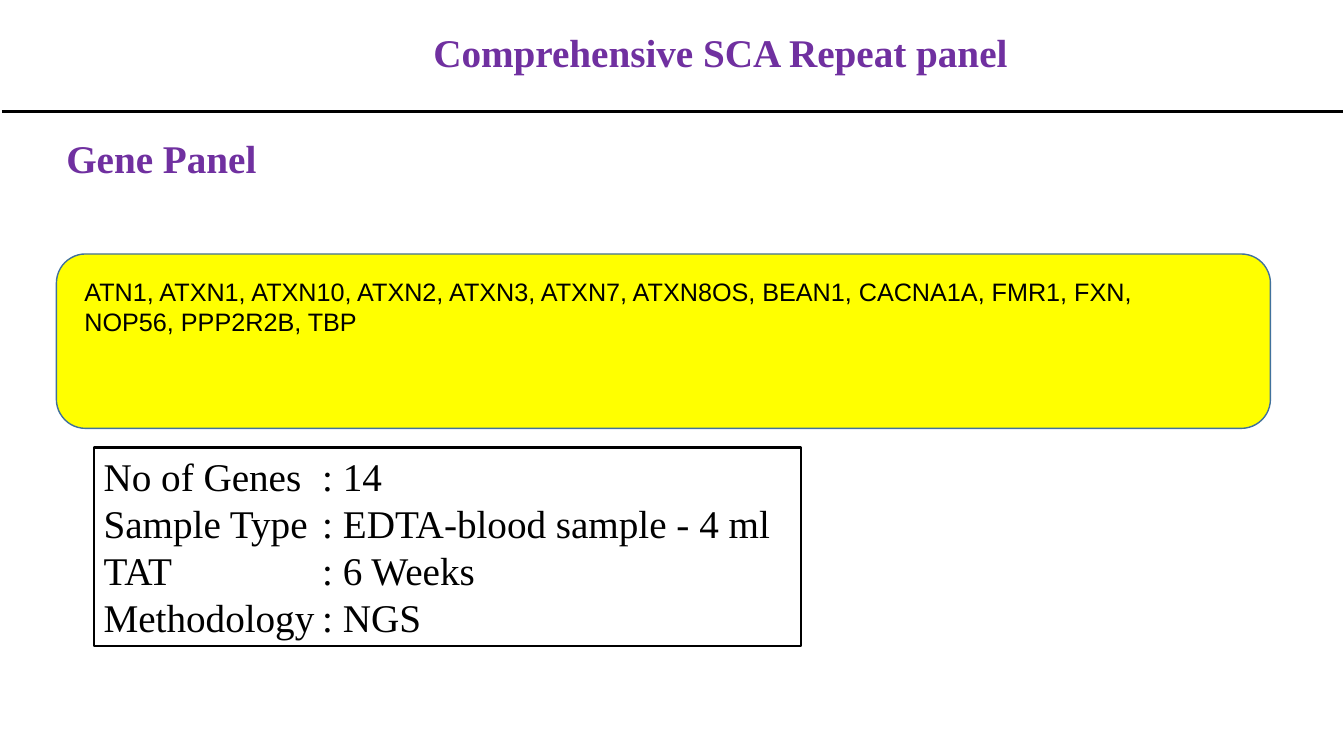
from lxml import etree
from pptx import Presentation
from pptx.dml.color import RGBColor
from pptx.enum.shapes import MSO_CONNECTOR, MSO_SHAPE
from pptx.enum.text import MSO_ANCHOR, PP_ALIGN
from pptx.oxml.ns import qn
from pptx.util import Inches, Pt

COLORS = {"heading": "7030A0", "text": "000000", "line": "000000",
          "panel": "FFFF00", "panel_edge": "41719C"}
SERIF, SANS = "Times New Roman", "Arial"
GENES = ("ATN1, ATXN1, ATXN10, ATXN2, ATXN3, ATXN7, ATXN8OS, BEAN1, "
         "CACNA1A, FMR1, FXN, NOP56, PPP2R2B, TBP")
DETAILS = [("No of Genes", "14"), ("Sample Type", "EDTA-blood sample - 4 ml"),
           ("TAT", "6 Weeks"), ("Methodology", "NGS")]


def color(name):
    return RGBColor.from_string(COLORS[name])


def place(shape, left, top, width, height):
    shape.left, shape.top = Inches(left), Inches(top)
    shape.width, shape.height = Inches(width), Inches(height)


def add_tab(para, position):
    tabs = etree.SubElement(para._p.get_or_add_pPr(), qn("a:tabLst"))
    etree.SubElement(tabs, qn("a:tab"), pos=str(Inches(position)), algn="l")


def add_span(para, text, size, font=SERIF, ink="text", bold=False):
    span = para.add_run()
    span.text = text
    span.font.name, span.font.size, span.font.bold = font, Pt(size), bold
    span.font.color.rgb = color(ink)


def add_text(page, bounds, text, size, **style):
    box = page.shapes.add_textbox(*map(Inches, bounds))
    box.text_frame.word_wrap = True
    add_span(box.text_frame.paragraphs[0], text, size, **style)


def add_box(page, kind, bounds, edge, width, fill=None):
    box = page.shapes.add_shape(kind, *map(Inches, bounds))
    box.shadow.inherit = False
    if fill:
        box.fill.solid()
        box.fill.fore_color.rgb = color(fill)
    else:
        box.fill.background()
    box.line.color.rgb = color(edge)
    box.line.width = Pt(width)
    return box


def add_rule(page, left, right, top):
    rule = page.shapes.add_connector(MSO_CONNECTOR.STRAIGHT, Inches(left),
                                     Inches(top), Inches(right), Inches(top))
    rule.line.color.rgb = color("line")
    rule.line.width = Pt(2.25)
    etree.SubElement(rule._element.spPr, qn("a:effectLst"))


def add_title(page, text):
    title = page.shapes.title
    place(title, 1.4, 0, 11.5, 1.09)
    title.text_frame.vertical_anchor = MSO_ANCHOR.MIDDLE
    para = title.text_frame.paragraphs[0]
    para.alignment = PP_ALIGN.CENTER
    para.line_spacing = 0.9
    add_span(para, text, 28, ink="heading", bold=True)


def add_details(page, bounds):
    frame = add_box(page, MSO_SHAPE.RECTANGLE, bounds, "line", 1.5).text_frame
    frame.word_wrap = True
    frame.vertical_anchor = MSO_ANCHOR.TOP
    for index, (label, value) in enumerate(DETAILS):
        para = frame.add_paragraph() if index else frame.paragraphs[0]
        add_tab(para, 2.17)
        para.alignment = PP_ALIGN.LEFT
        add_span(para, f"{label}\t: {value}", 28)


def main():
    deck = Presentation()
    deck.slide_width, deck.slide_height = Inches(13.34), Inches(7.5)
    page = deck.slides.add_slide(deck.slide_layouts[5])

    # Header
    add_title(page, "Comprehensive SCA Repeat panel")
    add_rule(page, 0.02, 13.33, 1.11)

    # Gene list
    panel = add_box(page, MSO_SHAPE.ROUNDED_RECTANGLE,
                    (0.56, 2.52, 12.05, 1.73), "panel_edge", 1, "panel")
    panel.adjustments[0] = 0.167
    add_text(page, (0.74, 2.69, 11.5, 0.7), GENES, 18, font=SANS)

    # Test details
    add_details(page, (0.93, 4.44, 7.02, 1.97))

    # Section heading
    add_text(page, (0.56, 1.28, 3.79, 0.57), "Gene Panel", 28,
             ink="heading", bold=True)

    deck.save("out.pptx")


if __name__ == "__main__":
    main()
